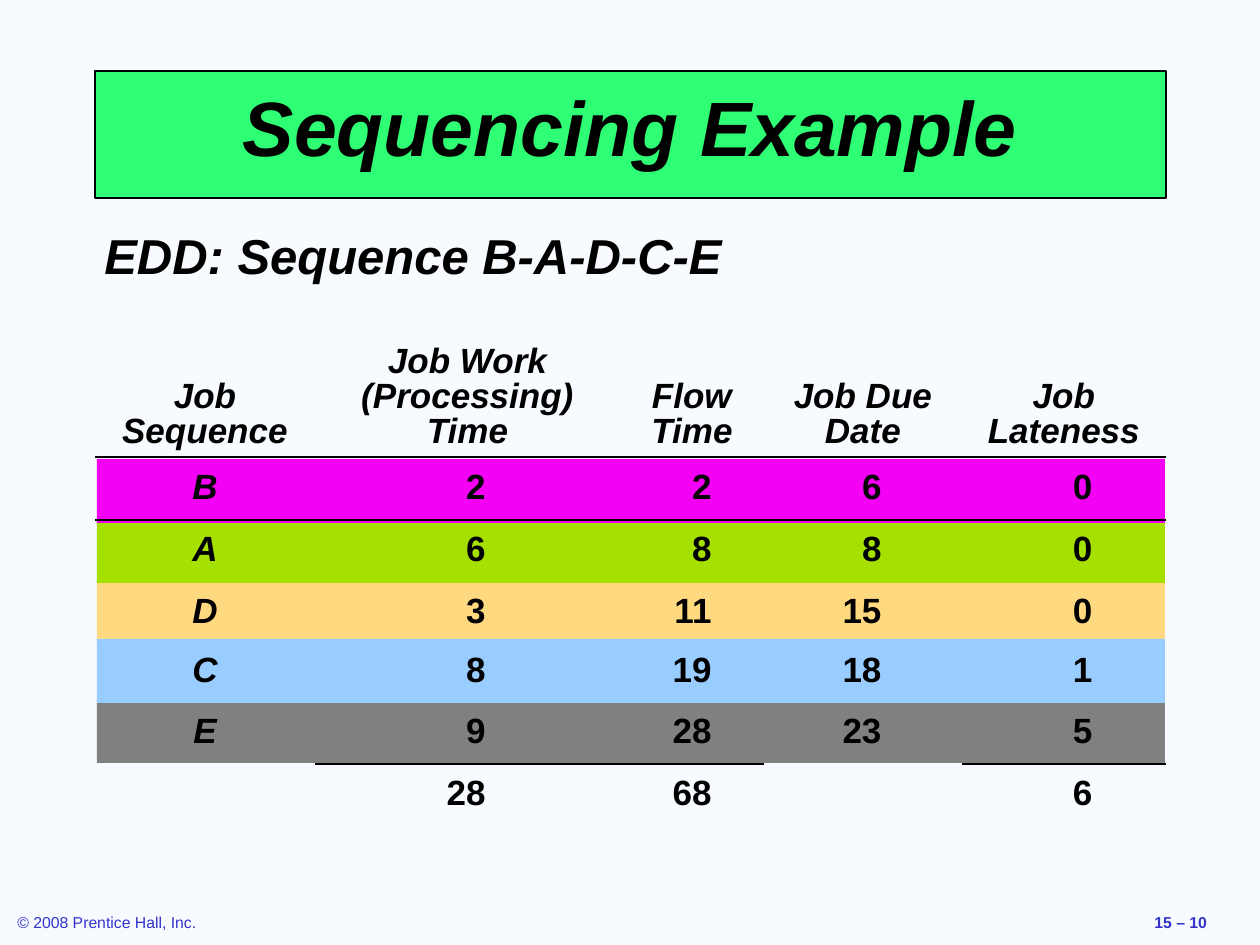
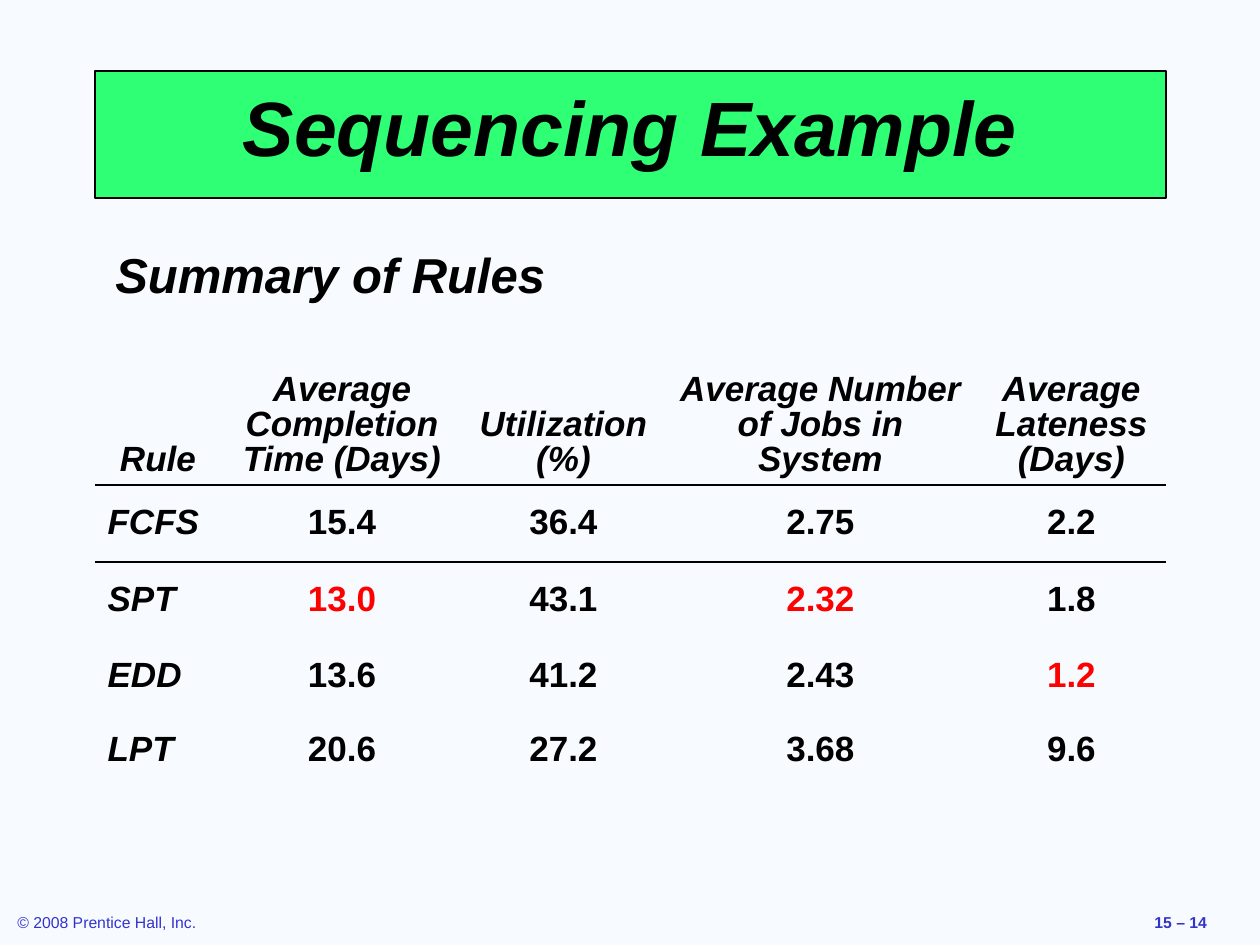
from dataclasses import dataclass

from lxml.etree import SubElement
from pptx import Presentation
from pptx.dml.color import RGBColor
from pptx.enum.shapes import MSO_SHAPE
from pptx.enum.text import MSO_ANCHOR, MSO_AUTO_SIZE, PP_ALIGN
from pptx.oxml.ns import qn
from pptx.util import Emu, Pt

EMU_PER_INCH = 914400
PX_PER_INCH = 126
NO_GRID_STYLE = "{2D5ABB26-0587-4C30-8999-92F81FD0307C}"


@dataclass(frozen=True)
class Theme:
    font: str = "Arial"
    background: str = "F7FBFF"
    ink: str = "000000"
    title_fill: str = "2FFF74"
    footer: str = "3333CC"
    highlight: str = "FF0000"
    title_size: int = 44
    heading_size: int = 28
    table_size: int = 20
    footer_size: int = 9
    title_line: float = 0.75
    header_rule: float = 1.47
    total_rule: float = 1.08


JOB_COLOURS = {
    "E": "808080",
    "D": "FFD980",
    "C": "99CCFF",
    "A": "A5E000",
    "B": "F400F4",
}

EDD_ROWS = [
    ["Job Sequence", "Job Work (Processing) Time", "Flow Time", "Job Due Date", "Job Lateness"],
    ["B", "2", "2", "6", "0"],
    ["A", "6", "8", "8", "0"],
    ["D", "3", "11", "15", "0"],
    ["C", "8", "19", "18", "1"],
    ["E", "9", "28", "23", "5"],
    ["", "28", "68", "", "6"],
]

RULE_ROWS = [
    ["Rule", "Average Completion Time (Days)", "Utilization (%)",
     "Average Number of Jobs in System", "Average Lateness (Days)"],
    ["FCFS", "15.4", "36.4", "2.75", "2.2"],
    ["SPT", "13.0", "43.1", "2.32", "1.8"],
    ["EDD", "13.6", "41.2", "2.43", "1.2"],
    ["LPT", "20.6", "27.2", "3.68", "9.6"],
]


def px(length):
    return Emu(round(length * EMU_PER_INCH / PX_PER_INCH))


def colour(value):
    return RGBColor.from_string(value)


class Deck:
    """Holds the theme and the current slide, and draws each kind of element."""

    def __init__(self, theme):
        self.theme = theme
        self.presentation = Presentation()
        self.presentation.slide_width = px(1260)
        self.presentation.slide_height = px(945)
        self.fill(self.presentation.slide_master.background, theme.background)
        self.slide = None

    def fill(self, item, value):
        item.fill.solid()
        item.fill.fore_color.rgb = colour(value)

    def add_slide(self, title, page):
        layout = self.presentation.slide_layouts.get_by_name("Title Only")
        self.slide = self.presentation.slides.add_slide(layout)
        self.title(title)
        footer = {"size": self.theme.footer_size, "ink": self.theme.footer}
        self.text((5, 907, 204, 31), "© 2008 Prentice Hall, Inc.", **footer)
        self.text((1142, 907, 118, 31), page, bold=True, **footer)

    def run(self, paragraph, text, size, ink=None, bold=True, italic=False):
        run = paragraph.add_run()
        run.text = text
        run.font.name = self.theme.font
        run.font.size = Pt(size)
        run.font.bold = bold
        run.font.italic = italic
        run.font.color.rgb = colour(ink or self.theme.ink)

    def title(self, text):
        shape = self.slide.shapes.title
        shape.left, shape.top, shape.width, shape.height = map(px, (95, 71, 1071, 127))
        self.fill(shape, self.theme.title_fill)
        shape.line.color.rgb = colour(self.theme.ink)
        shape.line.width = Pt(self.theme.title_line)
        frame = shape.text_frame
        frame.auto_size = MSO_AUTO_SIZE.NONE
        frame.vertical_anchor = MSO_ANCHOR.MIDDLE
        paragraph = frame.paragraphs[0]
        paragraph.alignment = PP_ALIGN.CENTER
        paragraph.line_spacing = 0.8
        paragraph.space_before = Pt(0)
        self.run(paragraph, text, self.theme.title_size, italic=True)

    def text(self, box, text, size, ink=None, bold=False, italic=False):
        frame = self.slide.shapes.add_textbox(*map(px, box)).text_frame
        frame.word_wrap = True
        self.run(frame.paragraphs[0], text, size, ink, bold, italic)

    def heading(self, box, text):
        self.text(box, text, self.theme.heading_size, bold=True, italic=True)

    def bands(self, order, top, step, height):
        group = self.slide.shapes.add_group_shape()
        for job, value in JOB_COLOURS.items():
            band_top = top + step * order.index(job)
            band = group.shapes.add_shape(
                MSO_SHAPE.RECTANGLE, *map(px, (97, band_top, 1068, height)))
            band.shadow.inherit = False
            band.line.fill.background()
            self.fill(band, value)

    def table(self, top, widths, heights, rows, label_align, tab_stops=None, highlights=()):
        frame = self.slide.shapes.add_table(
            len(rows), len(widths), *map(px, (95, top, sum(widths), sum(heights))))
        next(frame.element.iter(qn("a:tableStyleId"))).text = NO_GRID_STYLE
        table = frame.table
        table.first_row = table.horz_banding = False
        for column, width in zip(table.columns, widths):
            column.width = px(width)
        for row, height in zip(table.rows, heights):
            row.height = px(height)
        for row_index, row in enumerate(rows):
            for column_index, text in enumerate(row):
                cell = table.cell(row_index, column_index)
                cell.fill.background()
                if not text:
                    continue
                is_header, is_label = row_index == 0, column_index == 0
                cell.vertical_anchor = MSO_ANCHOR.BOTTOM if is_header else MSO_ANCHOR.MIDDLE
                paragraph = cell.text_frame.paragraphs[0]
                align = label_align if is_label and not is_header else PP_ALIGN.CENTER
                if tab_stops and not (is_header or is_label):
                    self.right_tab(paragraph, tab_stops[column_index - 1])
                    text, align = "\t" + text, PP_ALIGN.LEFT
                paragraph.alignment = align
                paragraph.line_spacing = 0.9
                ink = self.theme.highlight if text in highlights else None
                self.run(paragraph, text, self.theme.table_size, ink,
                         italic=is_header or is_label)
        self.rule_under(table, 0, range(len(widths)), self.theme.header_rule)
        return table

    def right_tab(self, paragraph, position):
        tabs = SubElement(paragraph._p.get_or_add_pPr(), qn("a:tabLst"))
        SubElement(tabs, qn("a:tab"), pos=str(px(position)), algn="r")

    def rule_under(self, table, row, columns, width):
        for column in columns:
            for edge_row, side in ((row, "a:lnB"), (row + 1, "a:lnT")):
                properties = table.cell(edge_row, column)._tc.get_or_add_tcPr()
                line = SubElement(properties, qn(side), w=str(Pt(width)))
                properties.insert(0, line)
                solid = SubElement(line, qn("a:solidFill"))
                SubElement(solid, qn("a:srgbClr"), val=self.theme.ink)


def edd_slide(deck):
    deck.add_slide("Sequencing Example", "15 – 10")
    deck.bands("BADCE", top=459, step=60, height=64)
    table = deck.table(
        331, [220, 305, 144, 198, 204], [126, 63, 62, 61, 58, 63, 61],
        EDD_ROWS, PP_ALIGN.CENTER, tab_stops=[158, 79, 105, 118])
    deck.rule_under(table, 5, (1, 2, 4), deck.theme.total_rule)
    deck.heading((92, 219, 645, 72), "EDD: Sequence B-A-D-C-E")


def summary_slide(deck):
    deck.add_slide("Sequencing Example", "15 – 14")
    deck.table(
        359, [126, 242, 201, 313, 189], [126, 77, 77, 75, 73],
        RULE_ROWS, PP_ALIGN.LEFT, highlights=("13.0", "2.32", "1.2"))
    deck.heading((103, 238, 460, 72), "Summary of Rules")


def main():
    deck = Deck(Theme())
    edd_slide(deck)
    summary_slide(deck)
    deck.presentation.save("out.pptx")


if __name__ == "__main__":
    main()
